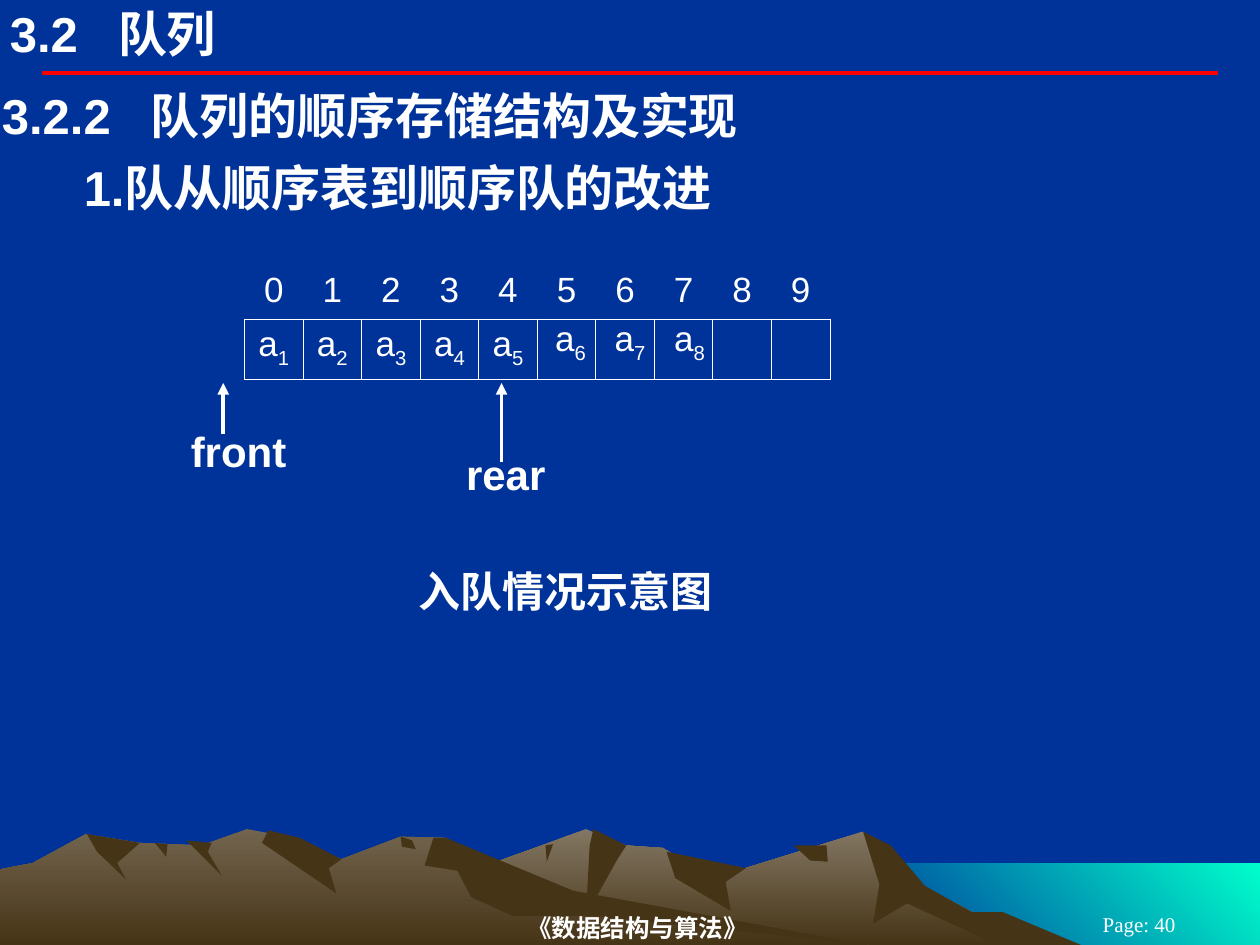
from lxml.etree import SubElement
from pptx import Presentation
from pptx.dml.color import RGBColor
from pptx.enum.shapes import MSO_CONNECTOR
from pptx.enum.text import MSO_ANCHOR, MSO_AUTO_SIZE, PP_ALIGN
from pptx.oxml.ns import qn
from pptx.util import Cm, Pt

COLORS = {
    "background": "003399", "text": "FFFFFF", "rule": "FF0000", "sea": "00FFCC",
    "far_ridge": "837763", "near_ridge": "72644E", "shade": "463416",
}
NO_TABLE_STYLE = "{2D5ABB26-0587-4C30-8999-92F81FD0307C}"


def write(frame, text, size, bold=False, align=PP_ALIGN.CENTER, font="Arial", subscript=""):
    """Fill the first paragraph of a text frame, with an optional subscript at its end."""
    frame.word_wrap = True
    paragraph = frame.paragraphs[0]
    paragraph.alignment = align
    paragraph.font.name = font
    paragraph.font.size = Pt(size)
    paragraph.font.bold = bold
    paragraph.font.color.rgb = RGBColor.from_string(COLORS["text"])
    paragraph.add_run().text = text
    if subscript:
        run = paragraph.add_run()
        run.text = subscript
        run.font._element.set("baseline", "-25000")
    return paragraph


def add_grid(left, top, width, heights, rows, size, bold=False, bordered_row=None):
    """Add an unstyled table; each cell is a pair of text and subscript."""
    table = slide.shapes.add_table(
        len(rows), len(rows[0]), Cm(left), Cm(top), Cm(width), Cm(sum(heights))).table
    table._tbl.tblPr.find(qn("a:tableStyleId")).text = NO_TABLE_STYLE
    table.first_row = table.horz_banding = False
    for row_index, row in enumerate(rows):
        table.rows[row_index].height = Cm(heights[row_index])
        for column_index, (text, subscript) in enumerate(row):
            cell = table.cell(row_index, column_index)
            if row_index == bordered_row:
                properties = cell._tc.get_or_add_tcPr()
                for side in ("a:lnL", "a:lnR", "a:lnT", "a:lnB"):
                    border = SubElement(properties, qn(side), w=str(Pt(0.45)))
                    fill = SubElement(border, qn("a:solidFill"))
                    SubElement(fill, qn("a:srgbClr"), val=COLORS["text"])
            cell.fill.background()
            if text:
                write(cell.text_frame, text, size, bold, subscript=subscript)


presentation = Presentation()
presentation.slide_width = Cm(25.4)
presentation.slide_height = Cm(19.05)
slide = presentation.slides.add_slide(presentation.slide_layouts[5])
slide.background.fill.solid()
slide.background.fill.fore_color.rgb = RGBColor.from_string(COLORS["background"])

# Landscape: fill (one colour, or two and an angle) and outline in hundredths of an inch
landscape = [
    (("sea", "background", 225), [(1000, 750), (683, 750), (683, 685), (1000, 685)]),
    (("far_ridge", "shade", 270), [
        (258, 750), (355, 698), (430, 671), (465, 658), (497, 671), (526, 673), (566, 697),
        (685, 660), (723, 698), (820, 750)]),
    (("shade",), [
        (685, 660), (698, 702), (693, 733), (720, 717), (792, 750), (858, 750), (796, 724),
        (771, 724), (734, 703), (707, 671)]),
    (("shade",), [(471, 658), (468, 671), (465, 727), (490, 682), (497, 671)]),
    (("shade",), [(529, 676), (536, 697), (580, 723), (576, 700), (592, 689)]),
    (("shade",), [(630, 671), (643, 683), (657, 684), (656, 671)]),
    (("shade",), [(433, 671), (439, 670), (434, 684)]),
    (("near_ridge", "shade", 270), [
        (0, 750), (0, 690), (26, 685), (68, 662), (111, 669), (160, 671), (196, 658),
        (223, 663), (271, 682), (318, 664), (354, 665), (432, 712), (690, 750)]),
    (("shade",), [(213, 659), (208, 669), (267, 709), (261, 689), (271, 682), (238, 665)]),
    (("shade",), [
        (344, 665), (337, 687), (363, 691), (374, 712), (407, 727), (472, 727), (690, 750),
        (455, 707), (354, 665)]),
    (("shade",), [(318, 664), (327, 667), (330, 674), (319, 672)]),
    (("shade",), [(148, 667), (176, 695), (165, 676), (168, 669)]),
    (("shade",), [(123, 669), (132, 680), (133, 670)]),
    (("shade",), [(69, 662), (77, 676), (100, 698), (93, 685), (111, 669)]),
]
for paint, outline in landscape:
    builder = slide.shapes.build_freeform(*outline[0], scale=Cm(0.0254))
    builder.add_line_segments(outline[1:], close=True)
    shape = builder.convert_to_shape()
    shape.shadow.inherit = False
    shape.line.fill.background()
    if len(paint) == 1:
        shape.fill.solid()
        shape.fill.fore_color.rgb = RGBColor.from_string(COLORS[paint[0]])
    else:
        shape.fill.gradient()
        shape.fill.gradient_angle = paint[2]
        for stop, name in zip(shape.fill.gradient_stops, paint):
            stop.color.rgb = RGBColor.from_string(COLORS[name])

# Title and headings: box, inset, tab stop, left margin, text
heading_boxes = [
    (slide.shapes.title, (0.2, 0.08, 16.51, 1.19), 0, 2.18, 0, "3.2\t队列"),
    (slide.shapes.add_textbox(0, 0, 0, 0), (0, 1.7, 25.4, 1.24), 0.04, 3, 0,
     "3.2.2\t队列的顺序存储结构及实现"),
    (slide.shapes.add_textbox(0, 0, 0, 0), (0, 3.15, 25.4, 1.24), 0.04, None, 1.65,
     "1.队从顺序表到顺序队的改进"),
]
for shape, box, inset, tab_stop, margin, text in heading_boxes:
    shape.left, shape.top, shape.width, shape.height = map(Cm, box)
    frame = shape.text_frame
    frame.auto_size = MSO_AUTO_SIZE.NONE
    frame.vertical_anchor = MSO_ANCHOR.TOP
    frame.margin_left = frame.margin_right = Cm(inset)
    frame.margin_top = frame.margin_bottom = Cm(inset / 2)
    paragraph = write(frame, text, 28, True, PP_ALIGN.LEFT)
    properties = paragraph._p.get_or_add_pPr()
    properties.set("marL", str(Cm(margin)))
    if tab_stop:
        tab_list = properties.makeelement(qn("a:tabLst"))
        SubElement(tab_list, qn("a:tab"), pos=str(Cm(tab_stop)), algn="l")
        properties.find(qn("a:defRPr")).addprevious(tab_list)

# Queue with its indexes, the elements about to enter, and the captions
indexes = [(str(index), "") for index in range(10)]
elements = [("a", str(number)) for number in range(1, 6)] + [("", "")] * 5
add_grid(4.93, 5.33, 11.8, (1.1, 1.22), [indexes, elements], 20, bordered_row=1)
for position, number in enumerate("678"):
    add_grid(10.9 + 1.2 * position, 6.32, 1.2, (1.22,), [[("a", number)]], 20)
add_grid(6.7, 11.13, 9.4, (1.4,), [[("入队情况示意图", "")]], 24, True)
add_grid(3.5, 8.53, 2.62, (1.4,), [[("front", "")]], 24, True)

# Rear label and footer
labels = [
    ((9.09, 8.92, 2.21, 1.4), "rear", 24, True, "Arial", MSO_ANCHOR.TOP),
    ((5.16, 18.34, 15.39, 0.71), "《数据结构与算法》", 14, True, "Times New Roman", MSO_ANCHOR.MIDDLE),
    ((20.96, 18.42, 4.01, 0.43), "Page: 40", 12, False, "Times New Roman", MSO_ANCHOR.MIDDLE),
]
for box, text, size, bold, font, anchor in labels:
    frame = slide.shapes.add_textbox(*map(Cm, box)).text_frame
    frame.vertical_anchor = anchor
    write(frame, text, size, bold, font=font)

# Title rule and pointer arrows
lines = [
    ((0.84, 1.47, 24.56, 1.47), "rule", False),
    ((4.5, 8.74, 4.5, 7.72), "text", True),
    ((10.11, 9.32, 10.11, 7.72), "text", True),
]
for ends, color, has_arrow in lines:
    connector = slide.shapes.add_connector(MSO_CONNECTOR.STRAIGHT, *map(Cm, ends))
    connector.line.width = Pt(2.25)
    connector.line.color.rgb = RGBColor.from_string(COLORS[color])
    if has_arrow:
        SubElement(connector.line._get_or_add_ln(), qn("a:tailEnd"), type="triangle")
    SubElement(connector._element.spPr, qn("a:effectLst"))

presentation.save("out.pptx")
